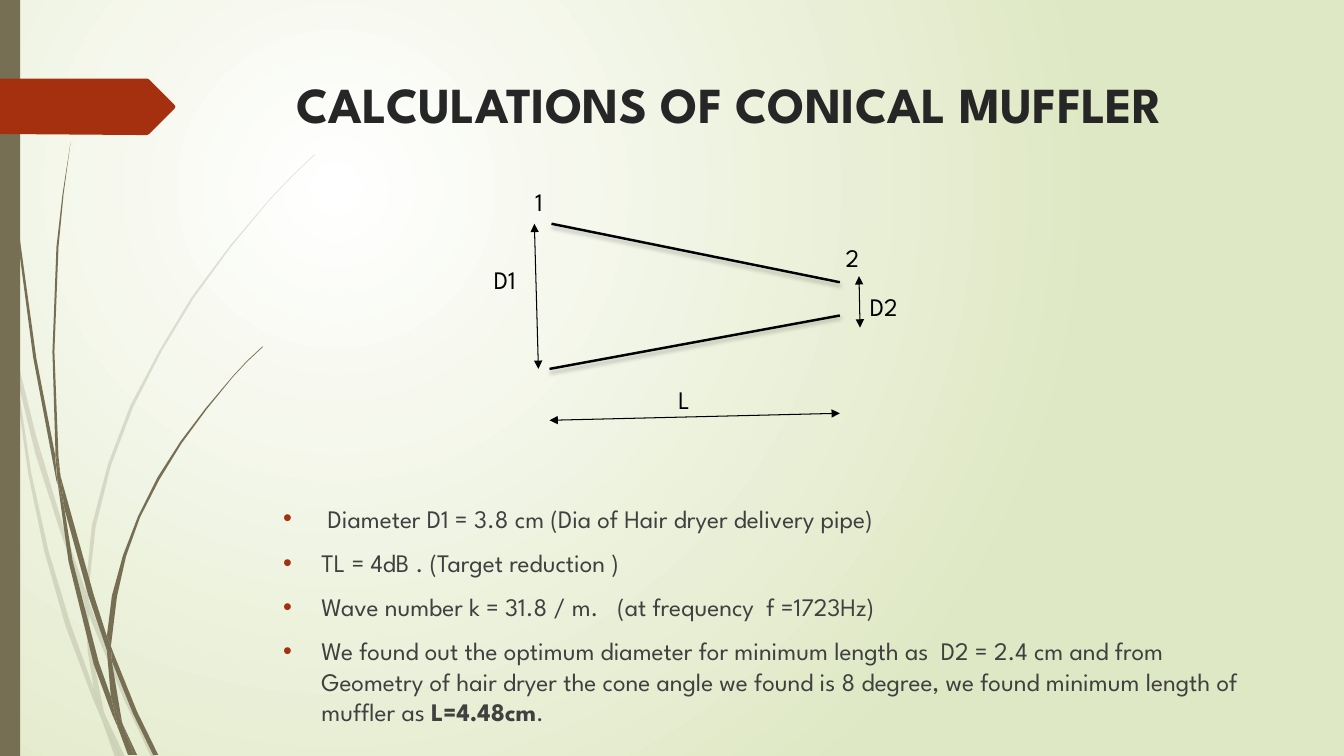
from lxml import etree
from pptx import Presentation
from pptx.dml.color import RGBColor
from pptx.enum.shapes import MSO_CONNECTOR as Connector, MSO_SHAPE as Preset
from pptx.oxml import parse_xml
from pptx.oxml.ns import nsdecls, qn
from pptx.util import Emu, Inches, Pt

WHITE = RGBColor(0xFF, 0xFF, 0xFF)
PALE_GREEN = RGBColor(0xDF, 0xE8, 0xC4)
OLIVE = RGBColor(0x76, 0x6F, 0x54)
RUST = RGBColor(0xA5, 0x30, 0x10)
TITLE_GREY = RGBColor(0x26, 0x26, 0x26)
BODY_GREY = RGBColor(0x40, 0x40, 0x40)
BLACK = RGBColor(0, 0, 0)

# Grid cells are a tenth of an inch; outlines list column, row, column, row ...
FAINT_STEMS = [
    [1.1, 35, 0.9, 32.2, 0, 28.2, 0, 29.9, 1, 34.4],
    [5.8, 52.2, 8.4, 59.9, 8.5, 58.6, 6.2, 52, 3.6, 43.3, 1.4, 34.5,
     1.7, 37.6, 3.5, 45],
    [9.2, 60.7, 8.8, 59.6, 8.8, 61, 12.3, 69.4, 15, 75.1, 15.5, 75.1, 12.7, 69.2],
    [11.9, 75.1, 12.4, 75.1, 10.5, 71.1],
    [9.3, 68.3, 7, 61.9, 4.8, 54.6, 3.1, 46.9, 1.7, 37.6, 1.1, 35,
     2.8, 47, 4.4, 54.7, 6.5, 62.1, 9.2, 69.3, 10.1, 71.4, 9.9, 70.7],
    [8.4, 59.9, 8.7, 64.6, 9.3, 68.3, 9.6, 69.2, 10.5, 71.1, 10.3, 70.6,
     9.1, 64.6, 8.8, 61, 8.8, 60.8],
    [8.8, 58.4, 9.5, 52.2, 11, 46.2, 13.2, 40.4, 16, 34.9, 19.2, 29.6,
     22.9, 24.5, 26.8, 19.8, 29, 17.5, 31.2, 15.4, 31.2, 15.3, 28.9, 17.5,
     26.8, 19.7, 22.8, 24.4, 19, 29.5, 15.8, 34.8, 12.9, 40.3, 10.7, 46.1,
     9.1, 52.2, 8.5, 58.4, 8.5, 58.6, 8.8, 59.6],
    [10.1, 71.4, 11.4, 75.1, 11.9, 75.1],
    [8.8, 60.8, 8.8, 59.6, 8.5, 58.6, 8.4, 59.9],
    [9.6, 69.2, 9.3, 68.3, 9.9, 70.7, 10.1, 71.4, 11.9, 75.1, 10.5, 71.1],
]
DARK_STEMS = [
    [0.7, 11, 1.7, 23.3, 3.3, 35.5, 5.6, 47.7, 5.7, 48.1, 5.5, 45.7,
     5.5, 45.3, 3.6, 35.5, 1.9, 23.2, 0.8, 10.9, 0.5, 4.8, 0.4, 0,
     0.3, 0, 0.4, 4.8],
    [8.8, 59.2, 10.6, 64.5, 10.6, 63.1, 9.3, 59, 6, 47.2, 6.4, 50.5],
    [11.3, 64.9, 11, 64.1, 11.1, 65.6, 13.2, 70.8, 15.2, 74.9, 15.7, 74.9, 13.6, 70.6],
    [11, 69.1, 9.8, 65.7, 7.2, 55.6, 6.4, 50.5, 5.7, 47.7, 6.8, 55.7,
     9.3, 65.9, 11.1, 70.8, 11.7, 72.2, 11.6, 71.7],
    [6, 47.2, 5.8, 45.3, 5.4, 34.9, 5.8, 24.5, 6.3, 19.3, 7, 14.1,
     6.2, 19.3, 5.6, 24.5, 5.2, 34.9, 5.5, 44.9],
    [13.3, 74.9, 13.6, 74.9, 12.2, 71.9],
    [5.7, 47.7, 6.4, 50.5, 6, 47.2, 5.5, 44.9, 5.5, 45.3],
    [11.1, 63.3, 11.6, 59.2, 12.5, 55.2, 13.9, 51.3, 15.8, 47.6, 18, 44,
     20.5, 40.6, 23.1, 37.4, 24.5, 35.9, 26.1, 34.4, 26, 34.4, 24.5, 35.8,
     23.1, 37.3, 20.4, 40.5, 17.9, 43.8, 15.6, 47.4, 13.7, 51.2, 12.2, 55.1,
     11.1, 59.1, 10.6, 63.1, 11, 64.1],
    [11.7, 72.2, 12.7, 74.9, 13.1, 74.9],
    [10.6, 64.5, 11, 69.1, 11.6, 70.6, 12.2, 71.9, 12.1, 71.6, 11.1, 65.6, 10.9, 65.1],
    [10.6, 64.5, 10.9, 65.1, 11.1, 65.6, 11, 64.1, 10.6, 63.1],
    [11.6, 70.6, 11, 69.1, 11.6, 71.7, 11.7, 72.2, 13, 74.9, 13.3, 74.9, 12.2, 71.9],
]
TAG = [17.3, 10.8, 14.8, 13.3, 14.6, 13.4, 13.6, 13.4, 0, 13.3, 0, 7.8,
       14.6, 7.8, 14.8, 7.9, 17.3, 10.4, 17.4, 10.6]

FINDINGS = [
    [" Diameter D1 = 3.8 cm (Dia of Hair dryer delivery pipe)"],
    ["TL = 4dB . (Target reduction )"],
    ["Wave number k = 31.8 / m.   (at frequency  f =1723Hz)"],
    ["We found out the optimum diameter for minimum length as  D2 = 2.4 cm and from "
     "Geometry of hair dryer the cone angle we found is 8 degree, we found minimum "
     "length of muffler as ", "L=4.48cm", "."],
]
WALLS = [(54.7, 22.2, 83.3, 28), (54.5, 36.6, 83.3, 31.3)]
DIMENSIONS = [(53, 22.2, 53.4, 36.6), (85.2, 27.4, 85.3, 32.5), (54.5, 41.7, 83.3, 41)]
LABELS = [("1", 52.1, 18, 5.3), ("2", 82.9, 23.5, 9.3), ("D1", 48, 25.7, 8.2),
          ("D2", 85.3, 28.4, 5.3), ("L", 66.3, 37.6, 3.2)]


class SlideBuilder:
    cell = Inches(0.1)
    font_name = "League Spartan"

    def __init__(self, slide):
        self.slide = slide

    def grid(self, *cells):
        return [Emu(round(count * self.cell)) for count in cells]

    def background(self, centre, edge):
        """Radial gradient centred a quarter of the way in from the top left."""
        fill = self.slide.background.fill
        fill.gradient()
        for stop, color, position in zip(fill.gradient_stops, (centre, edge), (0, 1)):
            stop.color.rgb = color
            stop.position = position
        gradient = self.slide.element.find(".//" + qn("a:gradFill"))
        gradient.replace(gradient.find(qn("a:lin")), parse_xml(
            f'<a:path {nsdecls("a")} path="circle">'
            '<a:fillToRect l="50000" t="50000" r="100000" b="100000"/></a:path>'))

    def paint(self, shape, color, opacity=100):
        shape.shadow.inherit = False
        shape.fill.solid()
        shape.fill.fore_color.rgb = color
        shape.line.fill.background()
        if opacity < 100:
            color_node = shape.element.spPr.find(".//" + qn("a:srgbClr"))
            etree.SubElement(color_node, qn("a:alpha"), val=str(opacity * 1000))

    def bar(self, left, top, width, height, color):
        box = self.grid(left, top, width, height)
        self.paint(self.slide.shapes.add_shape(Preset.RECTANGLE, *box), color)

    def outline(self, cells, color, opacity=100, shapes=None):
        lengths = self.grid(*cells)
        start, *points = zip(lengths[::2], lengths[1::2])
        builder = (shapes or self.slide.shapes).build_freeform(*start)
        builder.add_line_segments(points, close=True)
        self.paint(builder.convert_to_shape(), color, opacity)

    def stems(self, outlines, opacity=100):
        group = self.slide.shapes.add_group_shape()
        for cells in outlines:
            self.outline(cells, OLIVE, opacity, group.shapes)

    def line(self, ends, width, arrows=False, shadow=False):
        connector = self.slide.shapes.add_connector(Connector.STRAIGHT, *self.grid(*ends))
        connector.line.color.rgb = BLACK
        connector.line.width = Pt(width)
        properties = connector.element.spPr
        if arrows:
            for end in ("a:headEnd", "a:tailEnd"):
                etree.SubElement(properties.find(qn("a:ln")), qn(end), type="triangle")
        effects = etree.SubElement(properties, qn("a:effectLst"))
        if shadow:
            effects.append(parse_xml(
                f'<a:outerShdw {nsdecls("a")} blurRad="{Pt(3)}" dist="{Pt(2)}" '
                'dir="5400000" rotWithShape="0"><a:srgbClr val="000000">'
                '<a:alpha val="25000"/></a:srgbClr></a:outerShdw>'))

    def text(self, box, paragraphs, size, color, bold=False, bullets=False):
        """Each paragraph is a list of runs; every second run is bold."""
        frame = self.slide.shapes.add_textbox(*self.grid(*box)).text_frame
        frame.word_wrap = True
        for index, runs in enumerate(paragraphs):
            paragraph = frame.add_paragraph() if index else frame.paragraphs[0]
            if bullets:
                self.bullet(paragraph)
            if index:
                paragraph.space_before = Pt(10)
            font = paragraph.font
            font.name, font.size, font.bold = self.font_name, Pt(size), bold
            font.color.rgb = color
            for position, words in enumerate(runs):
                run = paragraph.add_run()
                run.text = words
                if position % 2:
                    run.font.bold = True

    def bullet(self, paragraph):
        properties = paragraph._p.get_or_add_pPr()
        indent = Inches(0.38)
        properties.set("marL", str(indent))
        properties.set("indent", str(-indent))
        color = etree.SubElement(properties, qn("a:buClr"))
        etree.SubElement(color, qn("a:srgbClr"), val=str(RUST))
        etree.SubElement(properties, qn("a:buFont"), typeface="Arial")
        etree.SubElement(properties, qn("a:buChar"), char="•")


def main():
    presentation = Presentation()
    presentation.slide_width, presentation.slide_height = Inches(13.33), Inches(7.5)
    builder = SlideBuilder(presentation.slides.add_slide(presentation.slide_layouts[6]))

    builder.background(WHITE, PALE_GREEN)
    builder.stems(FAINT_STEMS, opacity=20)
    builder.stems(DARK_STEMS)
    builder.bar(0, 0, 2, 75, OLIVE)
    builder.outline(TAG, RUST)
    builder.text((28.4, 6.8, 97.5, 14), [["CALCULATIONS OF CONICAL MUFFLER"]],
                 36, TITLE_GREY, bold=True)
    builder.text((27.1, 49.4, 97.5, 23.9), FINDINGS, 18, BODY_GREY, bullets=True)
    for ends in WALLS:
        builder.line(ends, 1.75, shadow=True)
    for ends in DIMENSIONS:
        builder.line(ends, 0.75, arrows=True)
    for label, left, top, width in LABELS:
        builder.text((left, top, width, 4), [[label]], 18, BLACK)
    presentation.save("out.pptx")


if __name__ == "__main__":
    main()
